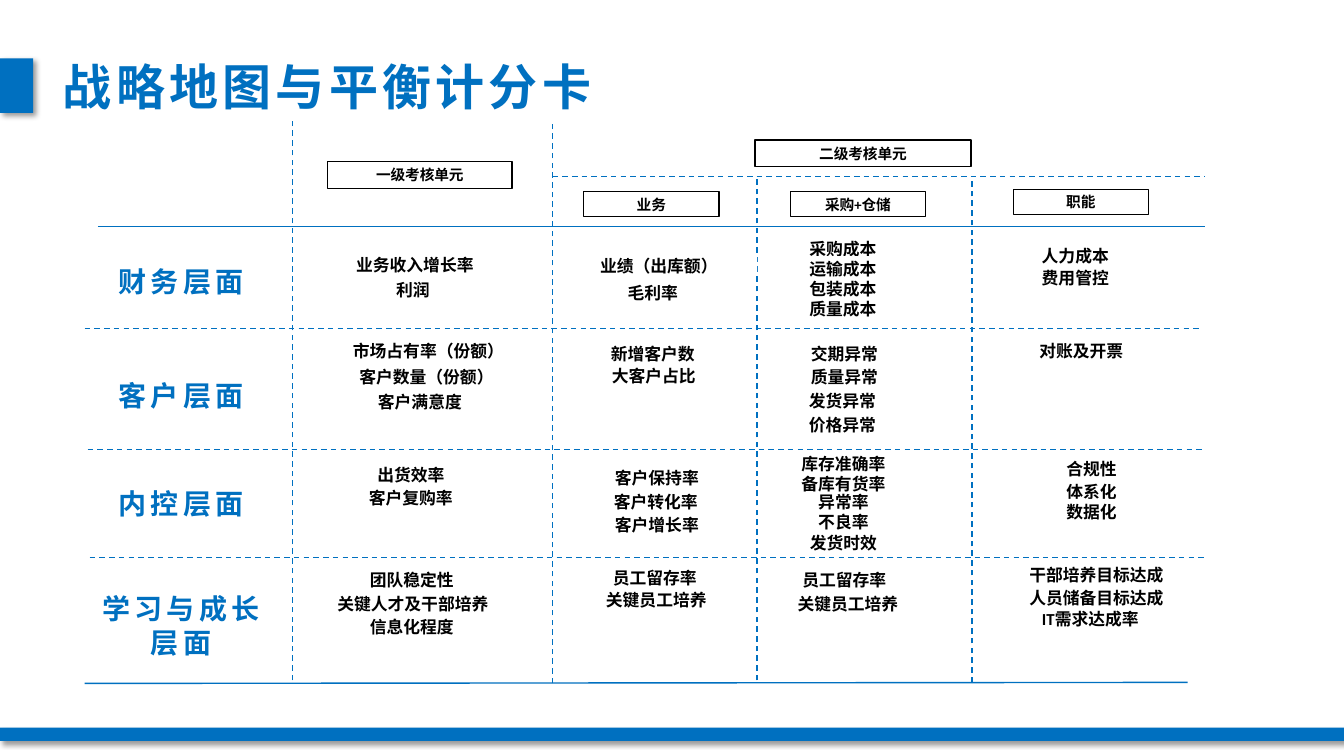
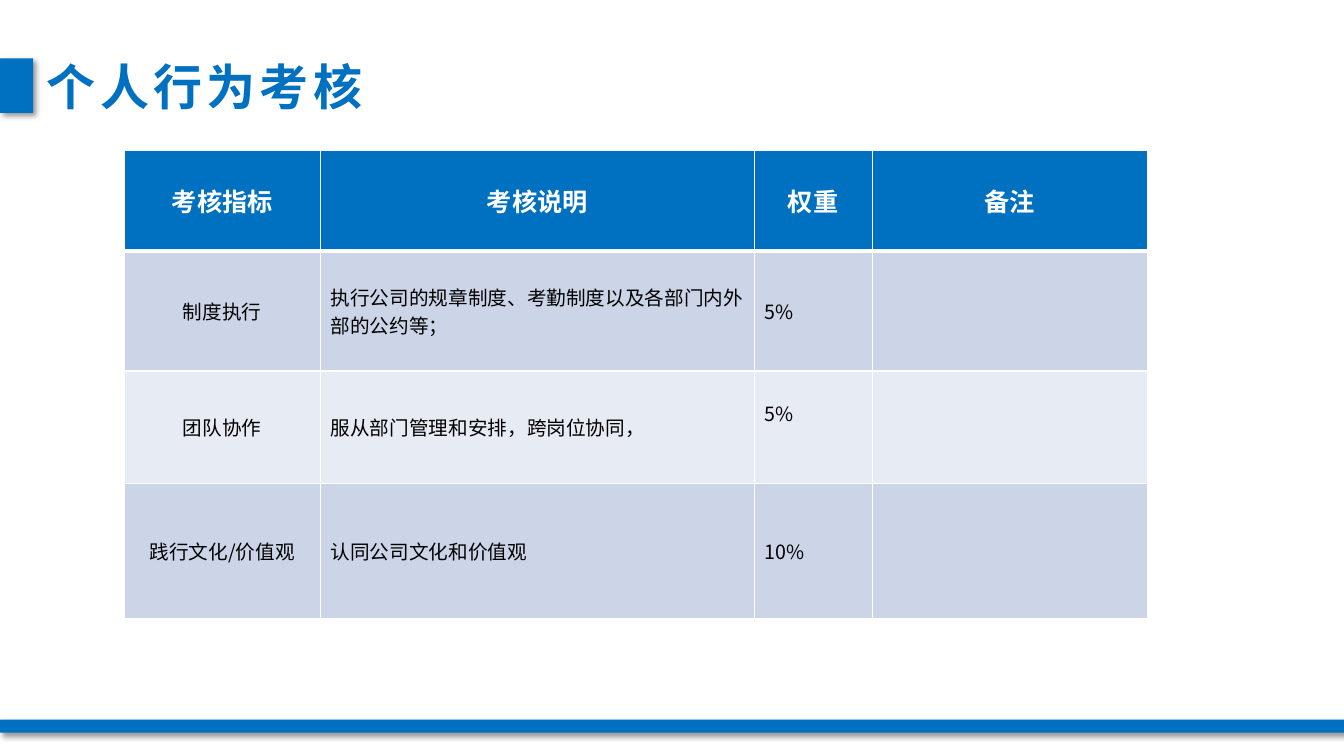
from lxml.etree import SubElement
from pptx import Presentation
from pptx.dml.color import RGBColor
from pptx.enum.dml import MSO_LINE
from pptx.enum.shapes import MSO_CONNECTOR, MSO_SHAPE
from pptx.enum.text import MSO_ANCHOR, MSO_AUTO_SIZE, PP_ALIGN
from pptx.oxml.ns import qn
from pptx.util import Inches, Pt

BLUE = RGBColor(0x00, 0x70, 0xC0)
BLACK = RGBColor(0x00, 0x00, 0x00)
WHITE = RGBColor(0xFF, 0xFF, 0xFF)
BAND_DARK = RGBColor(0xCC, 0xD5, 0xE8)
BAND_LIGHT = RGBColor(0xE7, 0xEB, 0xF4)

TITLE = {"name": "Lato", "size": Pt(35), "bold": True}
ROW_LABEL = {"name": "Lato", "size": Pt(20), "bold": True}
UNIT = {"name": "Calibri", "size": Pt(10.5), "bold": True}
MEASURE = {"name": "Calibri", "size": Pt(12), "bold": True}
TABLE_HEAD = {"name": "Noto Sans CJK SC", "size": Pt(18), "bold": True}
TABLE_BODY = {"name": "Noto Sans CJK SC", "size": Pt(14), "bold": False}

ROW_LABELS = [
    ("财务层面", 1.05, 2.57, 1.49, 0.44),
    ("客户层面", 1.05, 3.71, 1.49, 0.44),
    ("内控层面", 1.05, 4.78, 1.49, 0.44),
    ("学习与成长\n层面", 0.89, 5.82, 1.81, 0.77),
]

UNITS = [
    ("一级考核单元", 3.25, 1.6, 1.83, 0.27),
    ("二级考核单元", 7.49, 1.39, 2.14, 0.26),
    ("业务", 5.79, 1.9, 1.34, 0.25),
    ("采购+仓储", 7.84, 1.9, 1.34, 0.25),
    ("职能", 10.05, 1.88, 1.34, 0.25),
]

SOLID_LINES = [
    (0.97, 2.25, 11.95, 2.25),
    (0.84, 6.78, 11.78, 6.77),
]

DASHED_LINES = [
    (0.84, 3.26, 11.9, 3.26),
    (0.87, 4.46, 11.92, 4.46),
    (0.89, 5.53, 11.95, 5.53),
    (5.48, 1.75, 11.95, 1.75),
    (2.9, 6.75, 2.9, 1.2),
    (5.48, 6.78, 5.48, 1.2),
    (7.51, 6.75, 7.51, 1.75),
    (9.64, 6.77, 9.64, 1.78),
]

FINANCE = [
    ("业务收入增长率", 3.14, 2.53, 1.95, 0.19),
    ("利润", 3.12, 2.78, 1.95, 0.19),
    ("业绩（出库额）", 5.56, 2.54, 1.95, 0.19),
    ("毛利率", 5.5, 2.81, 1.95, 0.19),
    ("采购成本", 7.54, 2.36, 1.64, 0.22),
    ("运输成本", 7.54, 2.54, 1.64, 0.26),
    ("包装成本", 7.6, 2.76, 1.52, 0.21),
    ("质量成本", 7.6, 2.96, 1.52, 0.21),
    ("人力成本", 9.69, 2.42, 1.95, 0.24),
    ("费用管控", 9.69, 2.64, 1.95, 0.24),
]

CUSTOMER = [
    ("客户满意度", 3.49, 3.87, 1.35, 0.24),
    ("客户数量（份额）", 3.34, 3.63, 1.78, 0.21),
    ("市场占有率（份额）", 3.36, 3.37, 1.78, 0.21),
    ("新增客户数", 5.8, 3.39, 1.35, 0.24),
    ("大客户占比", 5.81, 3.61, 1.35, 0.24),
    ("交期异常", 7.7, 3.39, 1.35, 0.24),
    ("质量异常", 7.7, 3.62, 1.35, 0.24),
    ("发货异常", 7.68, 3.86, 1.35, 0.24),
    ("价格异常", 7.68, 4.09, 1.35, 0.24),
    ("对账及开票", 9.82, 3.35, 1.81, 0.26),
]

CONTROL = [
    ("出货效率", 3.4, 4.59, 1.35, 0.24),
    ("客户复购率", 3.4, 4.82, 1.35, 0.24),
    ("客户保持率", 5.84, 4.62, 1.35, 0.24),
    ("客户转化率", 5.83, 4.86, 1.35, 0.24),
    ("客户增长率", 5.84, 5.09, 1.35, 0.24),
    ("库存准确率", 7.69, 4.48, 1.35, 0.24),
    ("备库有货率", 7.69, 4.68, 1.35, 0.24),
    ("异常率\n不良率", 7.69, 4.96, 1.35, 0.24),
    ("发货时效", 7.69, 5.27, 1.35, 0.24),
    ("合规性", 9.92, 4.52, 1.81, 0.26),
    ("体系化", 9.92, 4.75, 1.81, 0.26),
    ("数据化", 9.92, 4.95, 1.81, 0.26),
]

LEARNING = [
    ("团队稳定性", 3.32, 5.64, 1.53, 0.22),
    ("关键人才及干部培养", 3.19, 5.86, 1.81, 0.26),
    ("信息化程度", 3.18, 6.09, 1.81, 0.26),
    ("员工留存率", 5.73, 5.62, 1.53, 0.22),
    ("关键员工培养", 5.61, 5.83, 1.8, 0.25),
    ("员工留存率", 7.61, 5.64, 1.53, 0.22),
    ("关键员工培养", 7.6, 5.84, 1.62, 0.3),
    ("人员储备目标达成", 9.97, 5.8, 1.81, 0.26),
    ("IT需求达成率", 10.05, 6.03, 1.53, 0.22),
    ("干部培养目标达成", 9.9, 5.59, 1.95, 0.23),
]

COLUMN_WIDTHS = [1.95, 4.3, 1.17, 2.73]
ROW_HEIGHTS = [1, 1.19, 1.12, 1.34]
ASSESSMENT = [
    ["考核指标", "考核说明", "权重", "备注"],
    ["制度执行", "执行公司的规章制度、考勤制度以及各部门内外部的公约等；", "5%", ""],
    ["团队协作", "服从部门管理和安排，跨岗位协同，", "5%", ""],
    ["践行文化/价值观", "认同公司文化和价值观", "10%", ""],
]


def write_text(frame, text, style, color, align=PP_ALIGN.CENTER, spacing=0):
    for index, line in enumerate(text.split("\n")):
        para = frame.paragraphs[0] if index == 0 else frame.add_paragraph()
        para.alignment = align
        span = para.add_run()
        span.text = line
        for attribute, value in style.items():
            setattr(span.font, attribute, value)
        span.font.color.rgb = color
        properties = span.font._element
        SubElement(properties, qn("a:ea"), typeface=style["name"])
        if spacing:
            properties.set("spc", str(spacing * 100))


def add_label(page, text, left, top, width, height, style):
    box = page.shapes.add_textbox(*map(Inches, (left, top, width, height)))
    box.text_frame.word_wrap = False
    box.text_frame.auto_size = MSO_AUTO_SIZE.SHAPE_TO_FIT_TEXT
    write_text(box.text_frame, text, style, BLUE, spacing=3)


def add_rectangle(page, left, top, width, height, fill):
    box = page.shapes.add_shape(
        MSO_SHAPE.RECTANGLE, *map(Inches, (left, top, width, height)))
    box.shadow.inherit = False
    box.fill.solid()
    box.fill.fore_color.rgb = fill
    box.line.fill.background()
    return box


def add_text_box(page, text, left, top, width, height, style, outlined=False):
    box = add_rectangle(page, left, top, width, height, WHITE)
    if outlined:
        box.line.color.rgb = BLACK
        box.line.width = Pt(1)
    box.text_frame.vertical_anchor = MSO_ANCHOR.MIDDLE
    write_text(box.text_frame, text, style, BLACK)


def add_band(page, left, top, width, height):
    band = add_rectangle(page, left, top, width, height, BLUE)
    effects = band._element.spPr.find(qn("a:effectLst"))
    shadow = SubElement(
        effects, qn("a:outerShdw"), blurRad=str(Pt(4)), dist=str(Pt(3)),
        dir=str(45 * 60000), algn="tl", rotWithShape="0")
    color = SubElement(shadow, qn("a:srgbClr"), val=str(BLACK))
    SubElement(color, qn("a:alpha"), val="40000")


def add_line(page, start_x, start_y, end_x, end_y, dashed=False):
    line = page.shapes.add_connector(
        MSO_CONNECTOR.STRAIGHT, *map(Inches, (start_x, start_y, end_x, end_y)))
    line.line.color.rgb = BLUE
    line.line.width = Pt(1)
    if dashed:
        line.line.dash_style = MSO_LINE.DASH
    SubElement(line._element.spPr, qn("a:effectLst"))


def add_page(deck, title, title_left, title_width, footer_top):
    page = deck.slides.add_slide(deck.slide_layouts[6])
    add_band(page, 0, 0.58, 0.33, 0.54)
    add_label(page, title, title_left, 0.51, title_width, 0.69, TITLE)
    add_band(page, 0, footer_top, 13.33, 0.13)
    return page


def format_cell(cell, fill, top_width, bottom_width):
    properties = cell._tc.get_or_add_tcPr()
    widths = {"lnL": 1, "lnR": 1, "lnT": top_width, "lnB": bottom_width}
    for side, width in widths.items():
        border = SubElement(properties, qn(f"a:{side}"), w=str(Pt(width)))
        paint = SubElement(border, qn("a:solidFill"))
        SubElement(paint, qn("a:srgbClr"), val=str(WHITE))
    cell.fill.solid()
    cell.fill.fore_color.rgb = fill
    cell.vertical_anchor = MSO_ANCHOR.MIDDLE


def add_assessment_table(page):
    table = page.shapes.add_table(
        len(ROW_HEIGHTS), len(COLUMN_WIDTHS), Inches(1.23), Inches(1.49),
        Inches(sum(COLUMN_WIDTHS)), Inches(sum(ROW_HEIGHTS))).table
    table.horz_banding = False
    for column, width in zip(table.columns, COLUMN_WIDTHS):
        column.width = Inches(width)
    for row, height in zip(table.rows, ROW_HEIGHTS):
        row.height = Inches(height)
    fills = [BLUE, BAND_DARK, BAND_LIGHT, BAND_DARK]
    for row_index, texts in enumerate(ASSESSMENT):
        head = row_index == 0
        for column_index, text in enumerate(texts):
            cell = table.cell(row_index, column_index)
            format_cell(cell, fills[row_index],
                        3 if row_index == 1 else 1, 3 if head else 1)
            if text:
                centred = head or column_index == 0
                write_text(cell.text_frame, text,
                           TABLE_HEAD if head else TABLE_BODY,
                           WHITE if head else BLACK,
                           PP_ALIGN.CENTER if centred else PP_ALIGN.LEFT)
    table.cell(2, 2).margin_bottom = Inches(0.33)


def build_scorecard(deck):
    page = add_page(deck, "战略地图与平衡计分卡", 0.48, 5.53, 7.22)
    for ends in SOLID_LINES:
        add_line(page, *ends)
    for ends in DASHED_LINES:
        add_line(page, *ends, dashed=True)
    for label in ROW_LABELS:
        add_label(page, *label, ROW_LABEL)
    for unit in UNITS:
        add_text_box(page, *unit, UNIT, outlined=True)
    for measure in FINANCE + CUSTOMER + CONTROL + LEARNING:
        add_text_box(page, *measure, MEASURE)


def build_assessment(deck):
    page = add_page(deck, "个人行为考核", 0.33, 3.4, 7.14)
    add_assessment_table(page)


def main():
    deck = Presentation()
    deck.slide_width = Inches(13.33)
    deck.slide_height = Inches(7.5)
    build_scorecard(deck)
    build_assessment(deck)
    deck.save("out.pptx")


if __name__ == "__main__":
    main()
